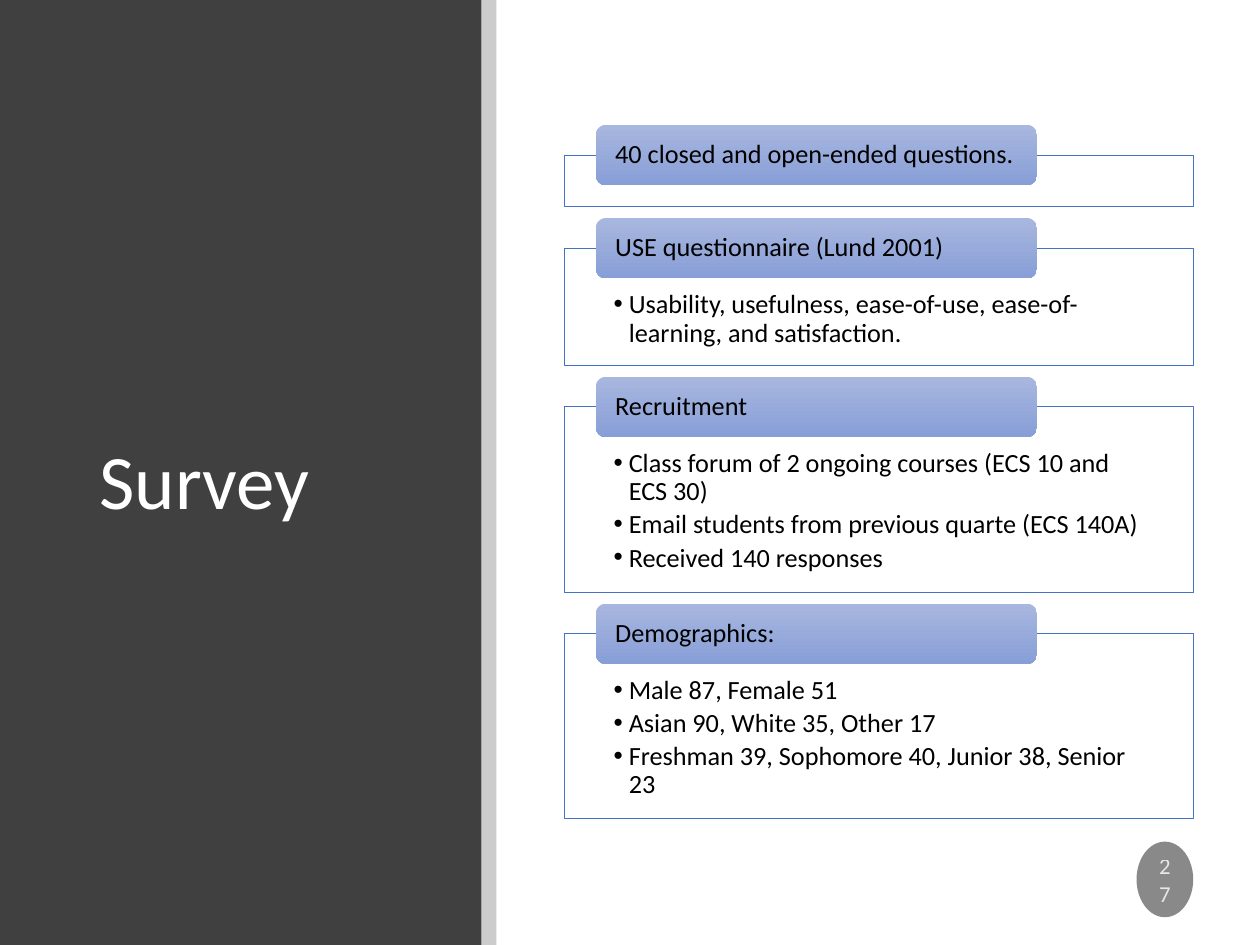
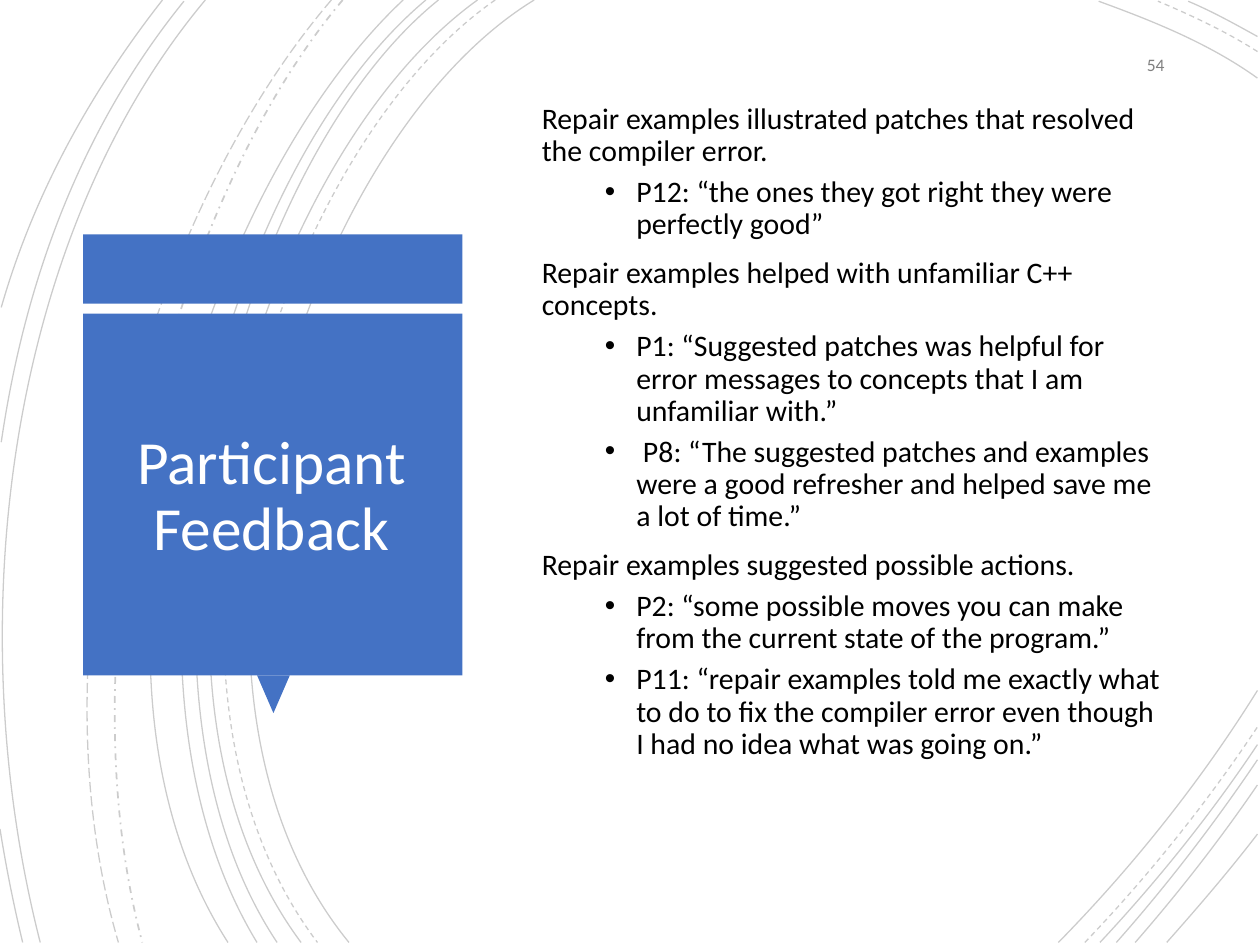
from lxml import etree
from pptx import Presentation
from pptx.dml.color import RGBColor
from pptx.enum.dml import MSO_LINE as DASH
from pptx.enum.shapes import MSO_SHAPE as SHAPE
from pptx.enum.text import MSO_ANCHOR as ANCHOR, MSO_AUTO_SIZE as AUTO, PP_ALIGN as ALIGN
from pptx.oxml.ns import qn
from pptx.util import Inches, Pt

FONT = "Calibri"
COLORS = {
    "white": "FFFFFF", "black": "000000", "panel": "404040", "blue": "4472C4",
    "badge": "898989", "number": "808080", "tab_top": "A8B7DF", "tab_bottom": "889ED7",
}

# Survey: heading, box height, bullets
CARDS = [
    ("40 closed and open-ended questions.", 0.41, []),
    ("USE questionnaire (Lund 2001)", 0.93, [
        "Usability, usefulness, ease-of-use, ease-of-learning, and satisfaction."]),
    ("Recruitment", 1.47, [
        "Class forum of 2 ongoing courses (ECS 10 and ECS 30)",
        "Email students from previous quarte (ECS 140A)",
        "Received 140 responses"]),
    ("Demographics:", 1.47, [
        "Male 87, Female 51",
        "Asian 90, White 35, Other 17",
        "Freshman 39, Sophomore 40, Junior 38, Senior 23"]),
]

# Feedback: finding, quotes
FINDINGS = [
    ("Repair examples illustrated patches that resolved the compiler error.", [
        "P12: “the ones they got right they were perfectly good”"]),
    ("Repair examples helped with unfamiliar C++ concepts.", [
        "P1: “Suggested patches was helpful for error messages to concepts that I am "
        "unfamiliar with.”",
        " P8: “The suggested patches and examples were a good refresher and helped save me "
        "a lot of time.”"]),
    ("Repair examples suggested possible actions.", [
        "P2: “some possible moves you can make from the current state of the program.”",
        "P11: “repair examples told me exactly what to do to fix the compiler error even "
        "though I had no idea what was going on.”"]),
]

# Background curves. Sweeps run from the top edge to the bottom edge:
# start x, first control, second control, end x, dash
EDGE_X, EDGE_Y = 9.98, 7.48
SWEEPS = [
    (4.24, (2.36, 1.15), (1.07, 5.4), 2.77, DASH.SOLID),
    (3.93, (2.13, 1.25), (0.92, 5.37), 2.52, DASH.DASH),
    (3.79, (2.02, 1.27), (0.82, 5.37), 2.39, DASH.SOLID),
    (3.48, (1.83, 1.33), (0.82, 5.41), 2.2, DASH.SOLID),
    (3.38, (1.73, 1.38), (0.73, 5.33), 2.04, DASH.SOLID),
    (3.2, (1.63, 1.47), (0.4, 5.29), 1.81, DASH.SOLID),
    (2.72, (1.32, 1.66), (0.49, 5.09), 1.13, DASH.DASH_DOT),
    (2.63, (1.18, 1.69), (0.21, 4.99), 0.94, DASH.LONG_DASH),
    (1.63, (0.08, 1.85), (-0.34, 4.9), 0.32, DASH.SOLID),
]
# From the right edge to the top: start y, controls, end x, dash
TOP_CORNER = [
    (0.62, (9.59, 0.34), (9.13, 0.16), 8.72, DASH.SOLID),
    (0.41, (9.73, 0.25), (9.45, 0.12), 9.19, DASH.DASH),
    (0.29, (9.8, 0.19), (9.62, 0.09), 9.43, DASH.SOLID),
]
# From the bottom edge to the right: start x, controls, end y, dash
BOTTOM_CORNER = [
    (8.4, (8.97, 6.9), (9.52, 6.22), 5.48, DASH.SOLID),
    (8.61, (9.09, 6.98), (9.56, 6.4), 5.77, DASH.DASH),
    (8.73, (9.17, 7.01), (9.6, 6.48), 5.91, DASH.SOLID),
    (8.86, (9.25, 7.04), (9.63, 6.55), 6.03, DASH.SOLID),
    (9.01, (9.35, 7.09), (9.68, 6.67), 6.23, DASH.SOLID),
    (9.26, (9.5, 7.21), (9.75, 6.92), 6.62, DASH.SOLID),
]
LEFT_EDGE = [
    ((1.46, 0.01), (0.69, 0.96), (0.21, 2.14), (0.01, 3.51), DASH.SOLID),
    ((0, 6.58), (0.05, 6.89), (0.11, 7.19), (0.18, EDGE_Y), DASH.SOLID),
    ((1.29, 0), (0.75, 0.69), (0.28, 1.5), (0.01, 2.44), DASH.SOLID),
]
CURVES = (
    [((x, 0), a, b, (end, EDGE_Y), dash) for x, a, b, end, dash in SWEEPS]
    + [((EDGE_X, y), a, b, (end, 0.01), dash) for y, a, b, end, dash in TOP_CORNER]
    + [((x, EDGE_Y), a, b, (EDGE_X, end), dash) for x, a, b, end, dash in BOTTOM_CORNER]
    + LEFT_EDGE
)


def rgb(name):
    return RGBColor.from_string(COLORS[name])


def fade(element, percent):
    """Set the opacity of every colour inside an element."""
    for clr in element.iter(qn("a:srgbClr")):
        etree.SubElement(clr, qn("a:alpha"), val=str(percent * 1000))


def add_box(slide, kind, box, fill, opacity=100):
    s = slide.shapes.add_shape(kind, *map(Inches, box))
    s.shadow.inherit = False
    s.fill.solid()
    s.fill.fore_color.rgb = rgb(fill)
    if opacity < 100:
        fade(s._element.spPr, opacity)
    s.line.fill.background()
    return s


def set_frame(s, anchor, insets=(0.1, 0.05, 0.1, 0.05)):
    tf = s.text_frame
    tf.word_wrap = True
    tf.auto_size = AUTO.NONE
    tf.vertical_anchor = anchor
    tf.margin_left, tf.margin_top, tf.margin_right, tf.margin_bottom = map(Inches, insets)
    return tf


def add_text(tf, text, size, color, align=ALIGN.LEFT, bullet=None, before=0, after=0):
    """Add a paragraph; bullet is (left margin, hanging indent) in inches."""
    first = not tf.paragraphs[0].runs
    p = tf.paragraphs[0] if first else tf.add_paragraph()
    pPr = p._p.get_or_add_pPr()
    margin, hang = bullet or (0, 0)
    pPr.set("marL", str(Inches(margin)))
    pPr.set("indent", str(-Inches(hang)))
    if bullet:
        p.level = 1
        etree.SubElement(pPr, qn("a:buFont"), typeface="Arial")
        etree.SubElement(pPr, qn("a:buChar"), char="•")
    else:
        etree.SubElement(pPr, qn("a:buNone"))
    p.alignment = align
    p.line_spacing = 0.9
    p.space_before = Pt(0 if first else before)
    p.space_after = Pt(after)
    r = p.add_run()
    r.text = text
    r.font.name, r.font.size = FONT, Pt(size)
    r.font.color.rgb = rgb(color)
    return r


def place(s, box):
    s.left, s.top, s.width, s.height = map(Inches, box)


def set_title(slide, text, box, size, align):
    title = slide.shapes.title
    place(title, box)
    add_text(set_frame(title, ANCHOR.MIDDLE), text, size, "white", align)
    slide.shapes._spTree.append(title._element)  # in front of its panel


def add_curve(slide, start, control1, control2, end, dash):
    points = [tuple(map(Inches, pt)) for pt in (start, control1, control2, end)]
    builder = slide.shapes.build_freeform(*points[0])
    builder.add_line_segments(points[1:], close=False)
    s = builder.convert_to_shape()
    s.shadow.inherit = False
    s.fill.background()
    s.line.color.rgb = rgb("black")
    s.line.width = Pt(1 if dash == DASH.DASH_DOT else 0.75)
    s.line.dash_style = dash
    fade(s._element.spPr, 20)
    # Turn the three segments into one cubic curve
    outline = next(s._element.iter(qn("a:path")))
    curve = etree.SubElement(outline, qn("a:cubicBezTo"))
    for segment in outline.findall(qn("a:lnTo")):
        curve.append(segment[0])
        outline.remove(segment)


def add_card(slide, top, heading, height, bullets):
    card = add_box(slide, SHAPE.RECTANGLE, (4.48, top, 4.99, height), "white", 90)
    card.line.color.rgb = rgb("blue")
    card.line.width = Pt(0.5)
    tf = set_frame(card, ANCHOR.TOP, (0.39, 0.34, 0.39, 0.12))
    for text in bullets:
        add_text(tf, text, 15, "black", bullet=(0.12, 0.12), after=2.7)

    tab = add_box(slide, SHAPE.ROUNDED_RECTANGLE, (4.73, top - 0.24, 3.5, 0.48), "tab_top")
    tab.fill.gradient()
    tab.fill.gradient_angle = 270
    for stop, color in zip(tab.fill.gradient_stops, ("tab_top", "tab_bottom")):
        stop.color.rgb = rgb(color)
    add_text(set_frame(tab, ANCHOR.MIDDLE, (0.13, 0, 0.13, 0)), heading, 15, "black")


def build_survey(prs):
    slide = prs.slides.add_slide(prs.slide_layouts[5])
    add_box(slide, SHAPE.RECTANGLE, (0, 0, 3.82, 7.5), "panel")
    add_box(slide, SHAPE.RECTANGLE, (3.82, 0, 0.12, 7.5), "black", 20)
    set_title(slide, "Survey", (0.69, 0.89, 2.74, 5.91), 44, ALIGN.LEFT)

    badge = add_box(slide, SHAPE.OVAL, (9.02, 6.68, 0.45, 0.6), "badge")
    r = add_text(set_frame(badge, ANCHOR.MIDDLE), "27", 13, "white", ALIGN.CENTER, after=6)
    r._r.getparent().get_or_add_pPr()
    fade(r._r, 80)
    badge.text_frame.paragraphs[0].line_spacing = 1.0

    top, gap = 1.23, 0.33
    for heading, height, bullets in CARDS:
        add_card(slide, top, heading, height, bullets)
        top += height + gap


def build_feedback(prs):
    slide = prs.slides.add_slide(prs.slide_layouts[1])
    for curve in CURVES:
        add_curve(slide, *curve)

    # Callout panel with its pointer
    add_box(slide, SHAPE.RECTANGLE, (0.66, 1.86, 3.01, 0.55), "blue")
    pointer = add_box(slide, SHAPE.ISOSCELES_TRIANGLE, (2.04, 5.36, 0.26, 0.3), "blue")
    pointer.rotation = 180
    add_box(slide, SHAPE.RECTANGLE, (0.66, 2.49, 3.01, 2.87), "blue")
    set_title(slide, "Participant Feedback", (0.74, 2.64, 2.83, 2.62), 35, ALIGN.CENTER)

    # Page number
    number = slide.shapes.add_textbox(*map(Inches, (8.59, 0.35, 0.75, 0.35)))
    add_text(set_frame(number, ANCHOR.MIDDLE), "54", 10, "number", ALIGN.RIGHT, after=6)

    # Findings and quotes
    body = slide.placeholders[1]
    place(body, (4.2, 0.77, 5.15, 5.74))
    tf = set_frame(body, ANCHOR.TOP)
    for finding, quotes in FINDINGS:
        add_text(tf, finding, 17, "black", before=10)
        for quote in quotes:
            add_text(tf, quote, 17, "black", bullet=(0.75, 0.25), before=5)


def main():
    prs = Presentation()
    prs.slide_width, prs.slide_height = Inches(10), Inches(7.5)
    build_survey(prs)
    build_feedback(prs)
    prs.save("out.pptx")


if __name__ == "__main__":
    main()
